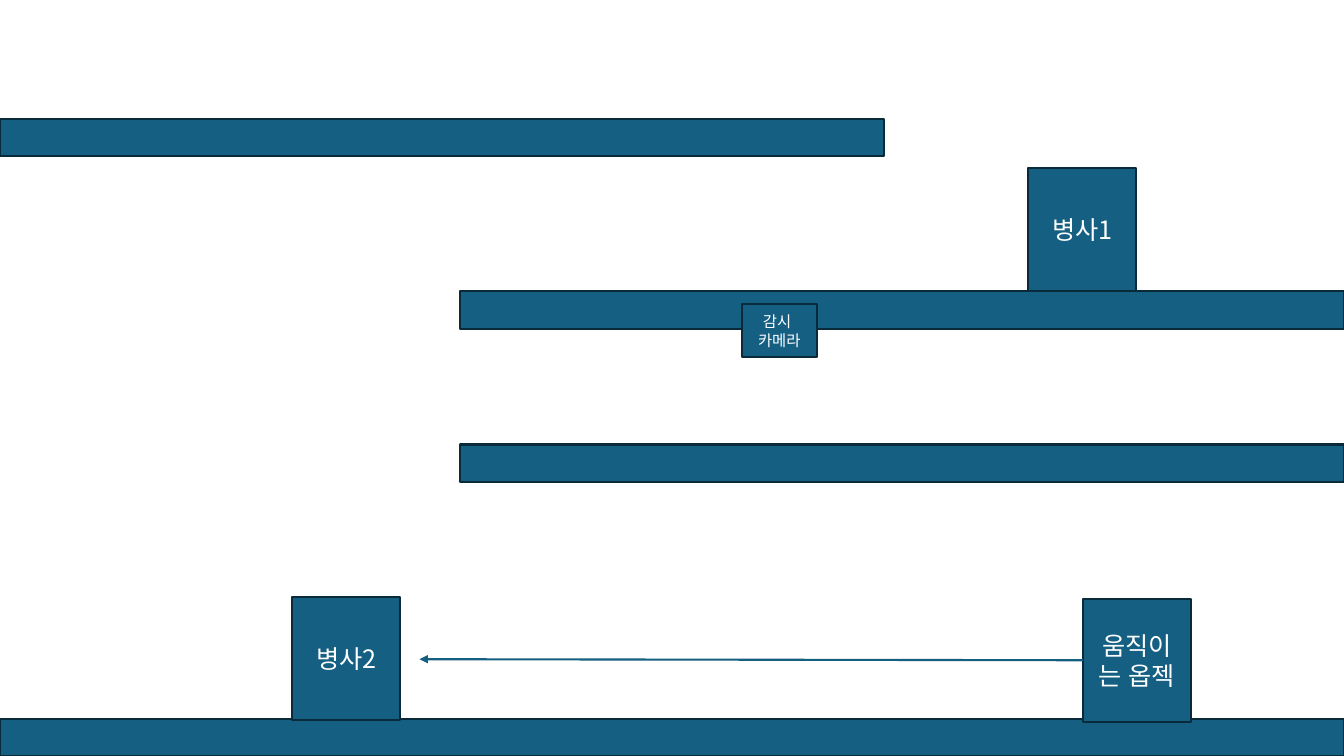
from lxml import etree
from pptx import Presentation
from pptx.dml.color import RGBColor
from pptx.enum import lang, shapes, text
from pptx.oxml import ns
from pptx.util import Inches, Pt

PAGE_WIDTH, PAGE_HEIGHT = 13.33, 7.5
FONT = "Noto Sans CJK KR"
BLUE, NAVY, WHITE = "156082", "092A39", "FFFFFF"
LINE_WIDTH = 1.5

FLOOR_HEIGHT = 0.37
LEDGE_WIDTH = 8.77
LEDGE_LEFT = PAGE_WIDTH - LEDGE_WIDTH
FLOORS = [
    (0, 1.18, LEDGE_WIDTH),
    (LEDGE_LEFT, 2.89, LEDGE_WIDTH),
    (0, PAGE_HEIGHT - FLOOR_HEIGHT, PAGE_WIDTH),
    (LEDGE_LEFT, 4.41, LEDGE_WIDTH),
]

FIGURE_WIDTH, FIGURE_HEIGHT = 1.07, 1.22
FIGURES = [
    (10.74, 5.94, "움직이는 옵젝"),
    (2.9, 5.92, "병사2"),
    (10.2, 1.67, "병사1"),
]


def color(code):
    return RGBColor.from_string(code)


def add_block(page, left, top, width, height):
    block = page.shapes.add_shape(
        shapes.MSO_SHAPE.RECTANGLE,
        Inches(left), Inches(top), Inches(width), Inches(height))
    block.shadow.inherit = False
    block.fill.solid()
    block.fill.fore_color.rgb = color(BLUE)
    block.line.color.rgb = color(NAVY)
    block.line.width = Pt(LINE_WIDTH)
    return block


def add_label(block, lines, size):
    """Write centred lines, one paragraph each, inside a block."""
    frame = block.text_frame
    frame.word_wrap = True
    frame.vertical_anchor = text.MSO_ANCHOR.MIDDLE
    for index, line in enumerate(lines):
        para = frame.add_paragraph() if index else frame.paragraphs[0]
        para.alignment = text.PP_ALIGN.CENTER
        span = para.add_run()
        span.text = line
        span.font.size = Pt(size)
        span.font.name = FONT
        span.font.language_id = lang.MSO_LANGUAGE_ID.KOREAN
        span.font.color.rgb = color(WHITE)
        east_asian = etree.SubElement(span.font._element, ns.qn("a:ea"))
        east_asian.set("typeface", FONT)


def add_arrow(page, start, end):
    arrow = page.shapes.add_connector(
        shapes.MSO_CONNECTOR.STRAIGHT,
        *(Inches(value) for value in (*start, *end)))
    arrow.line.color.rgb = color(BLUE)
    arrow.line.width = Pt(LINE_WIDTH)
    head = etree.SubElement(arrow.line._get_or_add_ln(), ns.qn("a:tailEnd"))
    head.set("type", "triangle")
    etree.SubElement(arrow._element.spPr, ns.qn("a:effectLst"))


def main():
    deck = Presentation()
    deck.slide_width = Inches(PAGE_WIDTH)
    deck.slide_height = Inches(PAGE_HEIGHT)
    page = deck.slides.add_slide(deck.slide_layouts.get_by_name("Blank"))

    for left, top, width in FLOORS:
        add_block(page, left, top, width, FLOOR_HEIGHT)
    for left, top, name in FIGURES:
        figure = add_block(page, left, top, FIGURE_WIDTH, FIGURE_HEIGHT)
        add_label(figure, [name], 18)
    camera = add_block(page, 7.36, 3.02, 0.74, 0.52)
    add_label(camera, ["감시 ", "카메라"], 11)
    add_arrow(page, (10.74, 6.55), (4.16, 6.54))

    deck.save("out.pptx")


if __name__ == "__main__":
    main()
